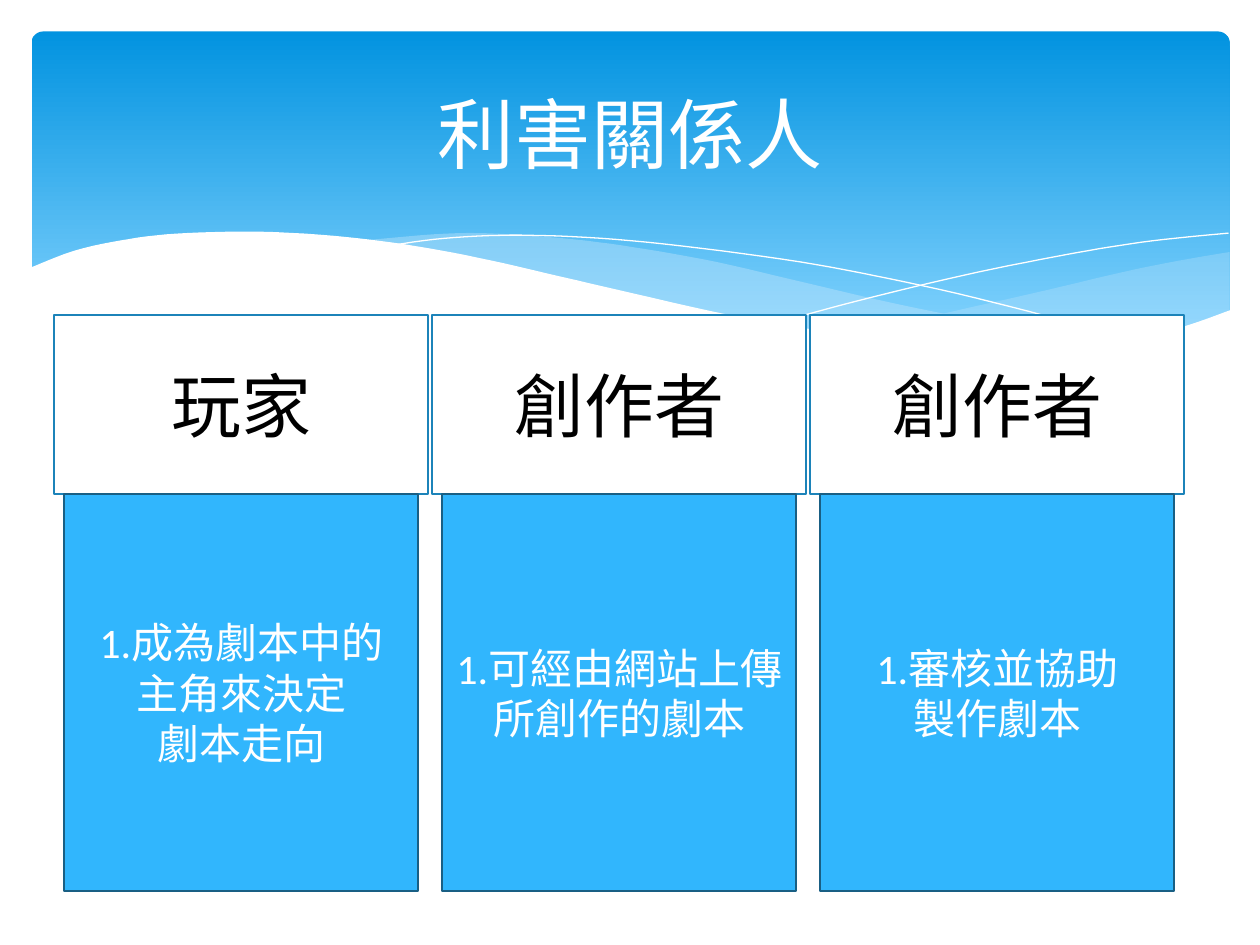
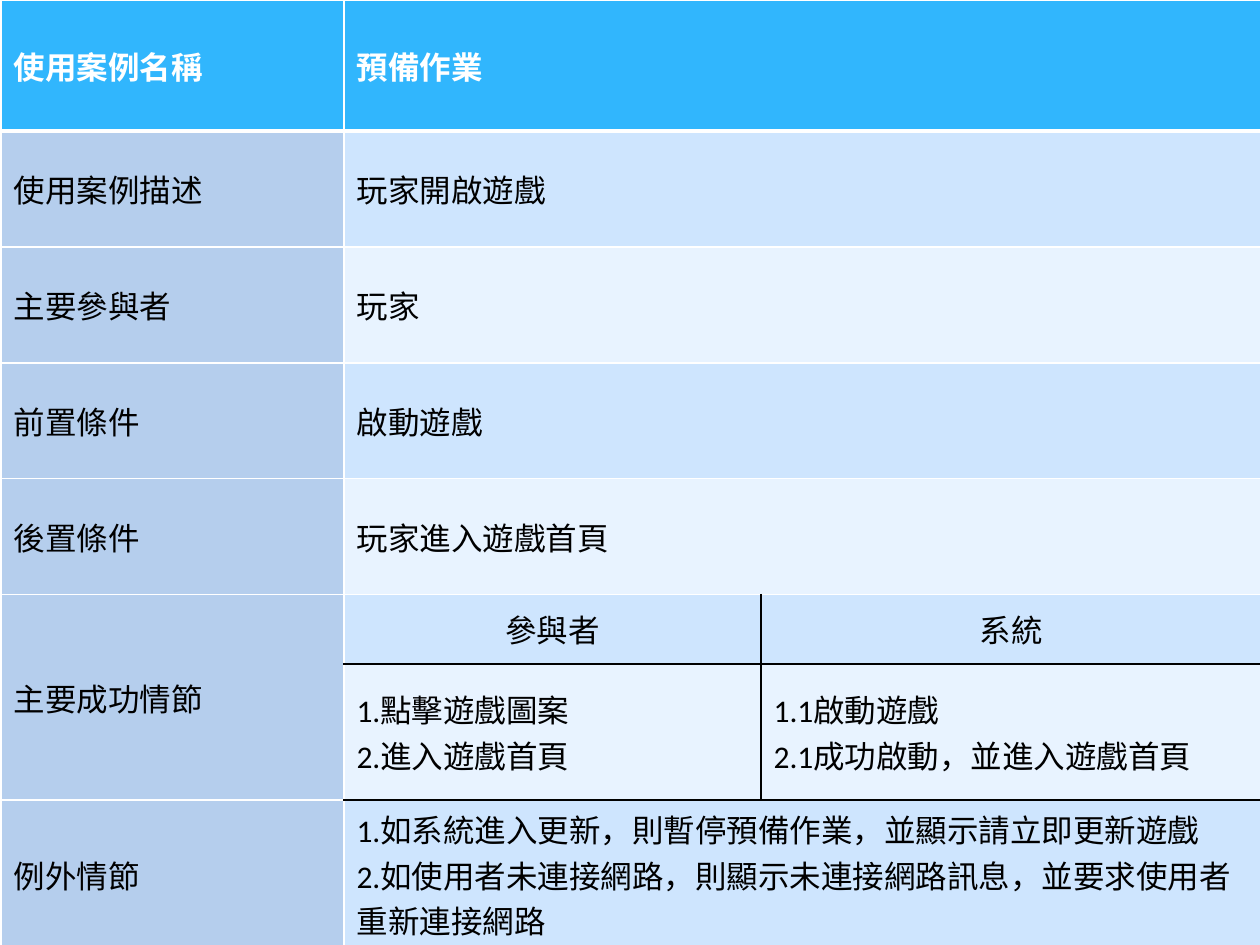
from pptx import Presentation
from pptx.dml.color import RGBColor
from pptx.enum.shapes import MSO_SHAPE
from pptx.enum.text import MSO_ANCHOR, PP_ALIGN
from pptx.oxml.ns import qn
from pptx.oxml.xmlchemy import OxmlElement
from pptx.util import Inches, Pt

RECT, ROUND_RECT = MSO_SHAPE.RECTANGLE, MSO_SHAPE.ROUNDED_RECTANGLE
MIDDLE = MSO_ANCHOR.MIDDLE
LEFT, CENTER = PP_ALIGN.LEFT, PP_ALIGN.CENTER
TITLE_ONLY, BLANK = 5, 6
FONT = "Calibri"

COLORS = {
    "white": "FFFFFF", "black": "000000", "blue": "31B6FD",
    "band_top": "0293E0", "band_bottom": "83D3FE", "wave": "C6E7FC",
    "head_line": "1C83B9", "body_line": "195F84",
    "label": "B5CEED", "odd_row": "CEE5FE", "even_row": "E8F3FF",
}

# Wave outlines in inches; each inner list is one smooth curve
RIGHT_WAVE = [
    [(9.76, 2), (9.35, 2.07), (8.91, 2.16), (8.32, 2.3), (7.79, 2.42),
     (7.29, 2.53), (6.61, 2.65)],
    [(6.61, 2.65), (7.05, 2.71), (7.57, 2.76), (8.03, 2.78), (8.54, 2.76),
     (8.97, 2.7), (9.35, 2.62), (9.76, 2.47)],
]
MIDDLE_WAVE = [
    [(8.93, 2.73), (8.37, 2.65), (7.75, 2.54), (7.06, 2.4), (6.29, 2.22),
     (5.69, 2.08), (5.14, 1.98), (4.65, 1.91), (4.2, 1.87), (3.8, 1.85),
     (3.44, 1.86), (2.86, 1.91)],
    [(2.86, 1.91), (3.42, 1.99), (4.04, 2.11), (4.49, 2.22), (5.3, 2.4),
     (6.01, 2.55), (6.65, 2.66), (7.22, 2.74), (7.73, 2.77), (8.18, 2.78),
     (8.57, 2.77), (8.93, 2.73)],
]
FALLING_LINE = [
    [(3.09, 1.95), (3.44, 1.9), (3.87, 1.87), (4.33, 1.87), (4.89, 1.9),
     (5.56, 1.97), (6.36, 2.08), (6.95, 2.19), (7.6, 2.33), (8.31, 2.51),
     (9.07, 2.72)],
]
RISING_LINE = [
    [(6.13, 2.57), (6.72, 2.41), (7.2, 2.29), (7.76, 2.16), (8.36, 2.04),
     (8.81, 1.96), (9.24, 1.9), (9.75, 1.85)],
]
WHITE_FRONT = [
    [(9.77, 2.46), (9.4, 2.59), (8.99, 2.69), (8.5, 2.75), (8.09, 2.77),
     (7.61, 2.75), (7.08, 2.7), (6.48, 2.62), (5.79, 2.5), (5.03, 2.33),
     (4.47, 2.2), (3.91, 2.07), (3.4, 1.97), (2.92, 1.9), (2.5, 1.86),
     (2.11, 1.84), (1.77, 1.84), (1.32, 1.86), (0.95, 1.91), (0.59, 1.99),
     (0.23, 2.13)],
    [(0.23, 3.29), (9.77, 3.29)],
]

STAKEHOLDERS = [
    ("玩家", ["1.成為劇本中的", "主角來決定", "劇本走向"]),
    ("創作者", ["1.可經由網站上傳", "所創作的劇本"]),
    ("創作者", ["1.審核並協助", "製作劇本"]),
]

USE_CASE = [
    ("使用案例名稱", "預備作業"),
    ("使用案例描述", "玩家開啟遊戲"),
    ("主要參與者", "玩家"),
    ("前置條件", "啟動遊戲"),
    ("後置條件", "玩家進入遊戲首頁"),
    ("主要成功情節", "參與者", "系統"),
    ("", "1.點擊遊戲圖案\n2.進入遊戲首頁",
     "1.1啟動遊戲\n2.1成功啟動，並進入遊戲首頁"),
    ("例外情節", "1.如系統進入更新，則暫停預備作業，並顯示請立即更新遊戲\n"
     "2.如使用者未連接網路，則顯示未連接網路訊息，並要求使用者\n重新連接網路"),
]
COLUMN_WIDTHS = [2.72, 3.31, 3.97]
ROW_HEIGHTS = [1.04] + [0.92] * 4 + [0.55, 1.08, 1.15]
ACTORS_ROW, STEPS_ROW = 5, 6


def rgb(name):
    return RGBColor.from_string(COLORS[name])


def paint(target, name):
    target.solid()
    target.fore_color.rgb = rgb(name)


def write(frame, lines, size, color, align=LEFT, bold=False):
    frame.text = "\n".join(lines)
    for paragraph in frame.paragraphs:
        paragraph.alignment = align
        font = paragraph.font
        font.name, font.size, font.bold = FONT, Pt(size), bold
        font.color.rgb = rgb(color)


# Shared background
def smooth(knots, steps=5):
    """Catmull-Rom curve through the knots."""
    padded = [knots[0], *knots, knots[-1]]
    curve = [knots[0]]
    for a, b, c, d in zip(padded, padded[1:], padded[2:], padded[3:]):
        for step in range(1, steps + 1):
            t = step / steps
            curve.append(tuple(
                (2 * q + (r - p) * t + (2 * p - 5 * q + 4 * r - s) * t ** 2
                 + (3 * q - p - 3 * r + s) * t ** 3) / 2
                for p, q, r, s in zip(a, b, c, d)))
    return curve


def add_wave(slide, curves, fill=None, opacity=100):
    points = [(x * 1000, y * 1000) for knots in curves for x, y in smooth(knots)]
    builder = slide.shapes.build_freeform(*points[0], scale=Inches(1) / 1000)
    builder.add_line_segments(points[1:], close=fill is not None)
    wave = builder.convert_to_shape()
    wave.shadow.inherit = False
    if fill is None:
        wave.fill.background()
        paint(wave.line.fill, "white")
        wave.line.width = 0
        return wave
    paint(wave.fill, fill)
    wave.line.fill.background()
    if opacity < 100:
        alpha = OxmlElement("a:alpha")
        alpha.set("val", str(opacity * 1000))
        wave.element.spPr.find(".//" + qn("a:srgbClr")).append(alpha)
    return wave


def add_band(slide):
    band = slide.shapes.add_shape(
        ROUND_RECT, Inches(0.25), Inches(0.25), Inches(9.51), Inches(2.7))
    band.adjustments[0] = 0.034
    band.shadow.inherit = False
    band.line.fill.background()
    band.fill.gradient()
    band.fill.gradient_angle = 270
    stops = zip(band.fill.gradient_stops, ("band_top", "band_bottom"), (0, 0.9))
    for stop, color, position in stops:
        stop.color.rgb = rgb(color)
        stop.position = position
    return band


def move_to_master(prs, shapes):
    tree = prs.slide_master.shapes.element
    for index, shape in enumerate(shapes, start=2):
        tree.insert(index, shape.element)


def add_background(prs, slide):
    move_to_master(prs, [
        add_band(slide),
        add_wave(slide, RIGHT_WAVE, "wave", 29),
        add_wave(slide, MIDDLE_WAVE, "wave", 40),
        add_wave(slide, FALLING_LINE),
        add_wave(slide, RISING_LINE),
        add_wave(slide, WHITE_FRONT, "white"),
    ])


# Stakeholder slide
def set_title(slide, text):
    title = slide.shapes.title
    title.left, title.top = Inches(0.5), Inches(0.37)
    title.width, title.height = Inches(9), Inches(1.37)
    title.text_frame.vertical_anchor = MIDDLE
    write(title.text_frame, [text], 44, "white", CENTER)


def add_box(slide, area, lines, size, fill, line, color):
    box = slide.shapes.add_shape(RECT, *map(Inches, area))
    box.shadow.inherit = False
    paint(box.fill, fill)
    paint(box.line.fill, line)
    box.line.width = Pt(1.25)
    box.text_frame.vertical_anchor = MIDDLE
    write(box.text_frame, lines, size, color, CENTER)


def add_stakeholder(slide, column, role, duties):
    left, top, width, head_height, inset = 0.43 + 3 * column, 2.5, 2.97, 1.42, 0.08
    add_box(slide, (left, top, width, head_height), [role], 40,
            "white", "head_line", "black")
    add_box(slide, (left + inset, top + head_height, width - 2 * inset, 3.15),
            duties, 24, "blue", "body_line", "white")


# Use case slide
def set_border(cell, side, color, width):
    line = OxmlElement("a:ln" + side)
    line.set("w", str(Pt(width)))
    fill, tint = OxmlElement("a:solidFill"), OxmlElement("a:srgbClr")
    tint.set("val", COLORS[color])
    fill.append(tint)
    line.append(fill)
    cell._tc.get_or_add_tcPr().append(line)


def set_borders(cell, row, column):
    scenario = row in (ACTORS_ROW, STEPS_ROW)
    dark = {
        "L": scenario and column == 2,
        "R": scenario and column == 1,
        "T": row > ACTORS_ROW and column > 0,
        "B": scenario and column > 0,
    }
    for side, is_dark in dark.items():
        thick = (row, side) in ((0, "B"), (1, "T"))
        set_border(cell, side, "black" if is_dark else "white", 3 if thick else 1)


def cell_fill(row, column):
    if row == 0:
        return "blue"
    if column == 0:
        return "label"
    return "odd_row" if row % 2 else "even_row"


def add_use_case(slide):
    table = slide.shapes.add_table(
        len(ROW_HEIGHTS), len(COLUMN_WIDTHS), Inches(0.01), 0,
        Inches(sum(COLUMN_WIDTHS)), Inches(sum(ROW_HEIGHTS))).table
    for column, width in zip(table.columns, COLUMN_WIDTHS):
        column.width = Inches(width)
    for row, height in zip(table.rows, ROW_HEIGHTS):
        row.height = Inches(height)

    for row, texts in enumerate(USE_CASE):
        for column in range(len(COLUMN_WIDTHS)):
            cell = table.cell(row, column)
            set_borders(cell, row, column)
            paint(cell.fill, cell_fill(row, column))
            cell.vertical_anchor = MIDDLE
            if column < len(texts) and texts[column]:
                centered = row == ACTORS_ROW and column > 0
                write(cell.text_frame, texts[column].split("\n"), 18,
                      "black" if row else "white",
                      CENTER if centered else LEFT, bold=row == 0)
        if len(texts) == 2:
            table.cell(row, 1).merge(table.cell(row, 2))
    table.cell(ACTORS_ROW, 0).merge(table.cell(STEPS_ROW, 0))


def main():
    prs = Presentation()
    prs.slide_width, prs.slide_height = Inches(10), Inches(7.5)

    stakeholders = prs.slides.add_slide(prs.slide_layouts[TITLE_ONLY])
    add_background(prs, stakeholders)
    set_title(stakeholders, "利害關係人")
    for column, (role, duties) in enumerate(STAKEHOLDERS):
        add_stakeholder(stakeholders, column, role, duties)

    add_use_case(prs.slides.add_slide(prs.slide_layouts[BLANK]))
    prs.save("out.pptx")


if __name__ == "__main__":
    main()
